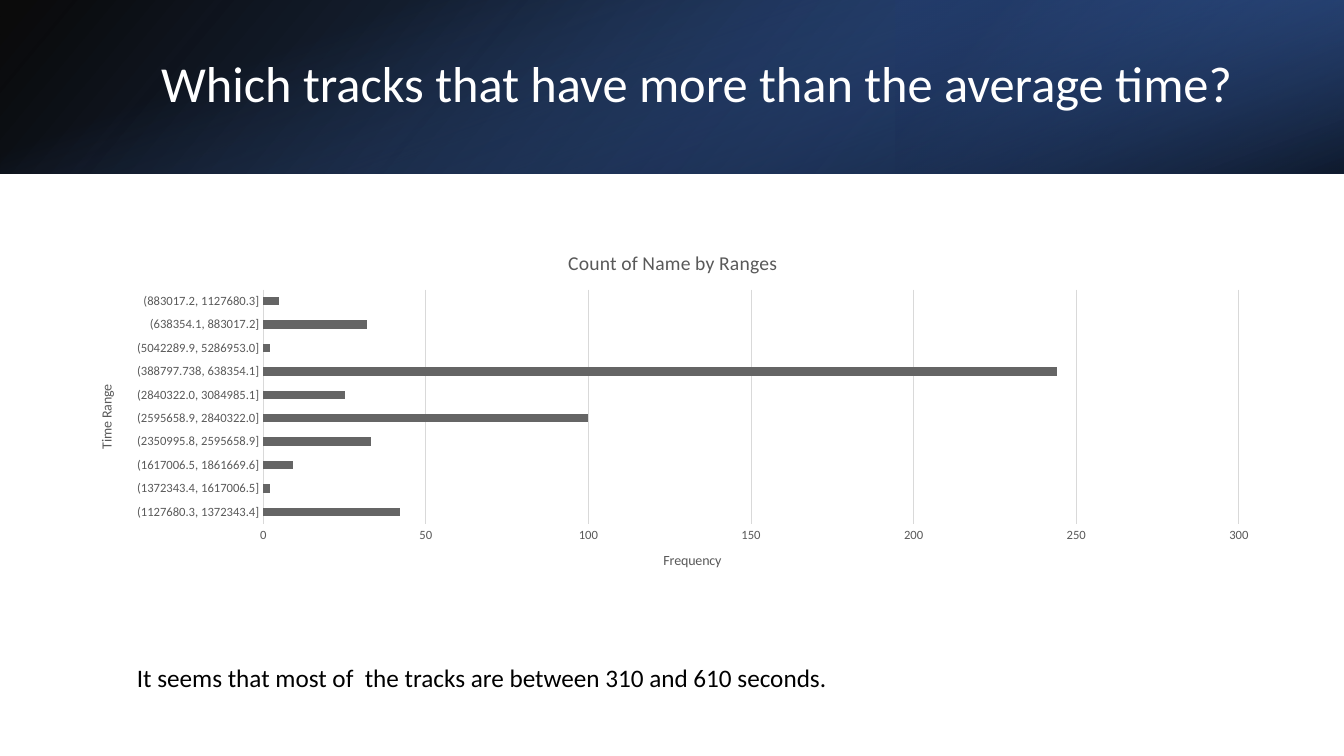
from dataclasses import dataclass

import lxml.etree
import pptx
import pptx.chart.data
import pptx.dml.color
import pptx.enum.chart
import pptx.enum.shapes
import pptx.enum.text
import pptx.oxml
import pptx.oxml.ns
import pptx.util

Pt = pptx.util.Pt
RGBColor = pptx.dml.color.RGBColor
qn = pptx.oxml.ns.qn

FONT = "Calibri"
BLACK = RGBColor(0x00, 0x00, 0x00)
WHITE = RGBColor(0xFF, 0xFF, 0xFF)
DEEP_BLUE = RGBColor(0x2F, 0x55, 0x97)
NAVY = RGBColor(0x20, 0x38, 0x64)
BLUE = RGBColor(0x44, 0x72, 0xC4)
LABEL_GREY = RGBColor(0x59, 0x59, 0x59)
GRID_GREY = RGBColor(0xD9, 0xD9, 0xD9)
BAR_GREY = RGBColor(0x65, 0x65, 0x65)

SLIDE_WIDTH, SLIDE_HEIGHT, BAND_HEIGHT = 960, 540, 124


@dataclass(frozen=True)
class Stop:
    position: int
    color: RGBColor
    opacity: int


@dataclass(frozen=True)
class BandLayer:
    left: float
    top: float
    width: float
    height: float
    rotation: int
    flipped: bool
    angle: int
    stops: tuple[Stop, Stop]


@dataclass(frozen=True)
class Caption:
    text: str
    left: float
    top: float
    width: float
    height: float
    size: int
    color: RGBColor
    anchor: pptx.enum.text.MSO_ANCHOR
    line_spacing: float


HALF_TURN_OFFSET = (SLIDE_WIDTH - BAND_HEIGHT) / 2
BAND_LAYERS = (
    BandLayer(0, 0, SLIDE_WIDTH, BAND_HEIGHT, 0, True, 140,
              (Stop(0, BLACK, 96), Stop(100, DEEP_BLUE, 100))),
    BandLayer(640, 0, 320, BAND_HEIGHT, 180, True, 320,
              (Stop(19, NAVY, 68), Stop(100, BLUE, 79))),
    BandLayer(HALF_TURN_OFFSET, -HALF_TURN_OFFSET, BAND_HEIGHT, SLIDE_WIDTH, 90, False, 340,
              (Stop(23, BLUE, 0), Stop(99, BLACK, 74))),
)
CAPTIONS = (
    Caption("Which tracks that have more than the average time?", 108, 27.4, 790, 69,
            36, WHITE, pptx.enum.text.MSO_ANCHOR.MIDDLE, 0.9),
    Caption("It seems that most of  the tracks are between 310 and 610 seconds.", 90.7, 469.4, 748, 29,
            18, BLACK, pptx.enum.text.MSO_ANCHOR.TOP, 1.0),
)
TRACK_COUNTS = {
    "(1127680.3, 1372343.4]": 42,
    "(1372343.4, 1617006.5]": 2,
    "(1617006.5, 1861669.6]": 9,
    "(2350995.8, 2595658.9]": 33,
    "(2595658.9, 2840322.0]": 100,
    "(2840322.0, 3084985.1]": 25,
    "(388797.738, 638354.1]": 244,
    "(5042289.9, 5286953.0]": 2,
    "(638354.1, 883017.2]": 32,
    "(883017.2, 1127680.3]": 5,
}


def add_band_layer(slide, layer: BandLayer) -> None:
    band = slide.shapes.add_shape(pptx.enum.shapes.MSO_SHAPE.RECTANGLE, Pt(layer.left), Pt(layer.top),
                                  Pt(layer.width), Pt(layer.height))
    band.shadow.inherit = False
    band.line.fill.background()
    band.rotation = layer.rotation
    properties = band._element.spPr
    if layer.flipped:
        properties.find(qn("a:xfrm")).set("flipH", "1")
    stops = "".join(
        f'<a:gs pos="{stop.position * 1000}"><a:srgbClr val="{stop.color}">'
        f'<a:alpha val="{stop.opacity * 1000}"/></a:srgbClr></a:gs>'
        for stop in layer.stops)
    gradient = pptx.oxml.parse_xml(
        f'<a:gradFill {pptx.oxml.ns.nsdecls("a")} rotWithShape="1"><a:gsLst>{stops}</a:gsLst>'
        f'<a:lin ang="{layer.angle * 60000}" scaled="0"/></a:gradFill>')
    properties.find(qn("a:prstGeom")).addnext(gradient)


def add_caption(slide, caption: Caption) -> None:
    box = slide.shapes.add_textbox(Pt(caption.left), Pt(caption.top), Pt(caption.width), Pt(caption.height))
    frame = box.text_frame
    frame.word_wrap = True
    frame.vertical_anchor = caption.anchor
    paragraph = frame.paragraphs[0]
    paragraph.text = caption.text
    paragraph.line_spacing = caption.line_spacing
    style_font(paragraph.font, caption.size, caption.color)


def style_font(font, size: float, color: RGBColor) -> None:
    font.name = FONT
    font.size = Pt(size)
    font.bold = False
    font.color.rgb = color


def set_title(owner, title: str, size: float) -> None:
    paragraph = owner.text_frame.paragraphs[0]
    paragraph.text = title
    style_font(paragraph.font, size, LABEL_GREY)


def place(parent, predecessor: str, target: str, **fractions: float) -> None:
    for layout in parent.findall(qn("c:layout")):
        parent.remove(layout)
    layout = lxml.etree.Element(qn("c:layout"))
    manual = lxml.etree.SubElement(layout, qn("c:manualLayout"))
    settings = {"layoutTarget": target} if target else {}
    settings |= {"xMode": "edge", "yMode": "edge"} | fractions
    for tag, value in settings.items():
        lxml.etree.SubElement(manual, qn(f"c:{tag}")).set("val", str(value))
    if predecessor:
        parent.find(qn(predecessor)).addnext(layout)
    else:
        parent.insert(0, layout)


def style_axis(axis, title: str, x: float, y: float) -> None:
    set_title(axis.axis_title, title, 10)
    place(axis.axis_title._element, "c:tx", "", x=x, y=y)
    style_font(axis.tick_labels.font, 9, LABEL_GREY)
    axis.major_tick_mark = pptx.enum.chart.XL_TICK_MARK.NONE
    axis.minor_tick_mark = pptx.enum.chart.XL_TICK_MARK.NONE


def add_track_chart(slide) -> None:
    counts = pptx.chart.data.CategoryChartData()
    counts.categories = list(TRACK_COUNTS)
    counts.add_series("Series 1", list(TRACK_COUNTS.values()))
    chart = slide.shapes.add_chart(pptx.enum.chart.XL_CHART_TYPE.BAR_CLUSTERED,
                                   Pt(50.4), Pt(166.3), Pt(860.4), Pt(253.4), counts).chart
    style_font(chart.font, 10, BLACK)
    chart.has_legend = False
    chart.has_title = True
    set_title(chart.chart_title, "Count of Name by Ranges", 14)
    place(chart._chartSpace.chart.plotArea, "", "inner", x=0.16, y=0.16, w=0.81, h=0.66)

    ranges = chart.category_axis
    style_axis(ranges, "Time Range", 0.02, 0.42)
    ranges.format.line.color.rgb = GRID_GREY
    ranges.format.line.width = Pt(0.75)

    frequency = chart.value_axis
    style_axis(frequency, "Frequency", 0.49, 0.89)
    frequency.minimum_scale, frequency.maximum_scale, frequency.major_unit = 0, 300, 50
    frequency.format.line.fill.background()
    frequency.major_gridlines.format.line.color.rgb = GRID_GREY
    frequency.major_gridlines.format.line.width = Pt(0.75)

    plot = chart.plots[0]
    plot.vary_by_categories = False
    plot.gap_width = 182
    bars = plot.series[0].format.fill
    bars.solid()
    bars.fore_color.rgb = BAR_GREY


presentation = pptx.Presentation()
presentation.slide_width = Pt(SLIDE_WIDTH)
presentation.slide_height = Pt(SLIDE_HEIGHT)
slide = presentation.slides.add_slide(presentation.slide_layouts[6])
for band_layer in BAND_LAYERS:
    add_band_layer(slide, band_layer)
add_track_chart(slide)
for slide_caption in CAPTIONS:
    add_caption(slide, slide_caption)
presentation.save("out.pptx")
